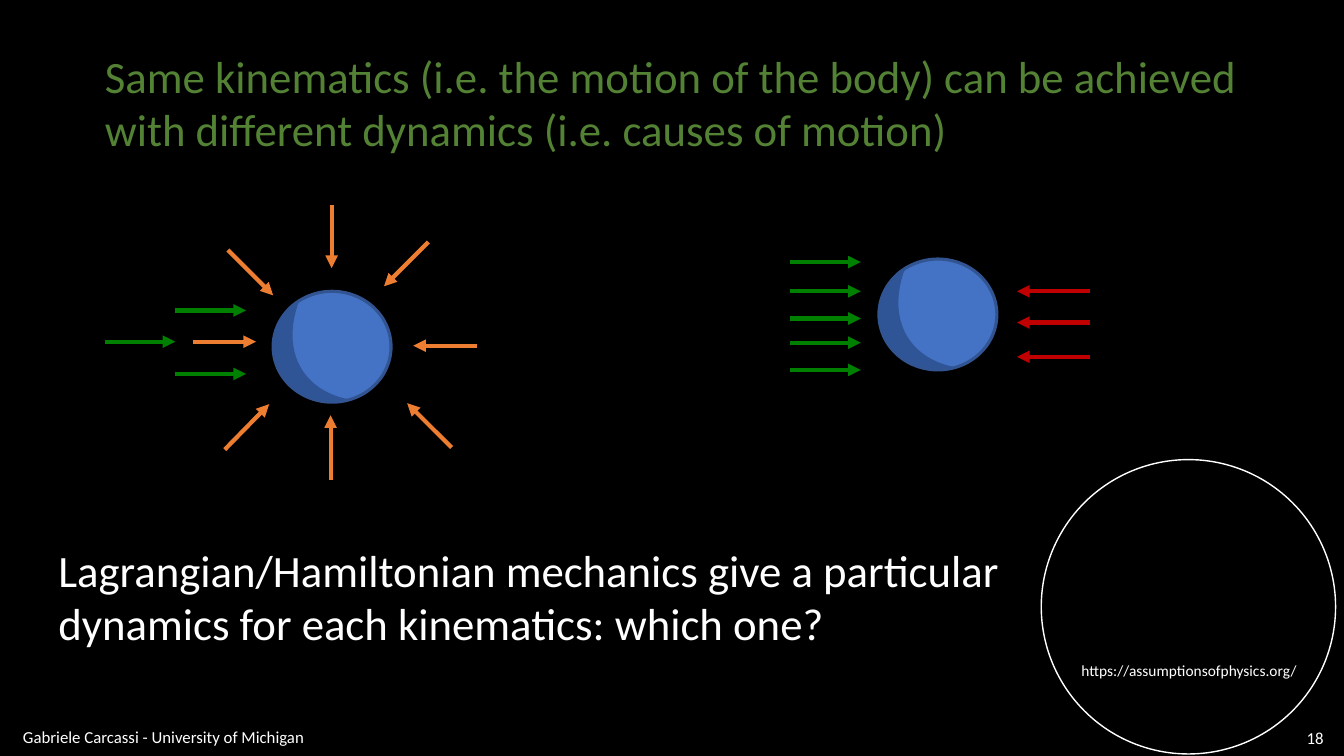
from dataclasses import dataclass

import lxml.etree
import pptx
import pptx.dml.color
import pptx.enum.shapes
import pptx.enum.text
import pptx.oxml.ns
import pptx.util

PX = 9144
Point = tuple[int, int]
RGB = pptx.dml.color.RGBColor
Anchor = pptx.enum.text.MSO_ANCHOR
Align = pptx.enum.text.PP_ALIGN
AutoSize = pptx.enum.text.MSO_AUTO_SIZE
OVAL = pptx.enum.shapes.MSO_SHAPE.OVAL
STRAIGHT = pptx.enum.shapes.MSO_CONNECTOR.STRAIGHT
qn = pptx.oxml.ns.qn


@dataclass(frozen=True)
class Theme:
    background: RGB = RGB(0x00, 0x00, 0x00)
    white: RGB = RGB(0xFF, 0xFF, 0xFF)
    title: RGB = RGB(0x54, 0x82, 0x35)
    orange: RGB = RGB(0xED, 0x7D, 0x31)
    green: RGB = RGB(0x00, 0x80, 0x00)
    red: RGB = RGB(0xC0, 0x00, 0x00)
    ball: RGB = RGB(0x44, 0x72, 0xC4)
    ball_line: RGB = RGB(0x32, 0x54, 0x91)
    shade: RGB = RGB(0x2F, 0x55, 0x97)
    font: str = "Calibri"
    large: int = 32
    small: int = 12
    link: int = 11


THEME = Theme()


@dataclass(frozen=True)
class Label:
    text: str
    left: int
    top: int
    width: int
    height: int
    size: int
    color: RGB = THEME.white
    align: Align = Align.LEFT
    anchor: Anchor = Anchor.TOP
    wrap: bool = True
    auto_size: AutoSize = AutoSize.SHAPE_TO_FIT_TEXT


@dataclass(frozen=True)
class Arrow:
    start: Point
    end: Point
    color: RGB


@dataclass(frozen=True)
class Body:
    left: int
    top: int
    arrows: list[Arrow]


def row_arrows(start: int, end: int, rows: list[int], color: RGB) -> list[Arrow]:
    return [Arrow((start, row), (end, row), color) for row in rows]


TITLE = Label(
    "Same kinematics (i.e. the motion of the body) can be achieved "
    "with different dynamics (i.e. causes of motion)",
    94, 43, 1146, 118, THEME.large, THEME.title)
FOOTERS = [
    Label("https://assumptionsofphysics.org/", 1063, 651, 235, 29, THEME.link, wrap=False),
    Label("Gabriele Carcassi - University of Michigan", 13, 718, 653, 26, THEME.small,
          anchor=Anchor.MIDDLE, auto_size=AutoSize.NONE),
    Label("18", 1262, 719, 61, 25, THEME.small,
          align=Align.RIGHT, anchor=Anchor.MIDDLE, auto_size=AutoSize.NONE),
]
QUESTION = Label(
    "Lagrangian/Hamiltonian mechanics give a particular "
    "dynamics for each kinematics: which one?",
    48, 533, 1065, 118, THEME.large)
PRESSURE = [
    ((328, 476), (328, 412)), ((223, 446), (267, 401)),
    ((191, 339), (254, 339)), ((329, 203), (329, 266)),
    ((473, 343), (410, 343)), ((226, 248), (271, 293)),
    ((425, 240), (381, 284)), ((448, 444), (404, 400)),
]
BODIES = [
    Body(271, 289,
         [Arrow(start, end, THEME.orange) for start, end in PRESSURE]
         + row_arrows(174, 244, [308], THEME.green)
         + row_arrows(104, 174, [339], THEME.green)
         + row_arrows(174, 244, [371], THEME.green)),
    Body(872, 257,
         row_arrows(784, 854, [260, 289, 316, 340, 367], THEME.green)
         + row_arrows(1081, 1009, [289, 320, 354], THEME.red)),
]
BALL_WIDTH, BALL_HEIGHT = 117, 110
CRESCENT_TOP, CRESCENT_WIDTH, CRESCENT_HEIGHT = 9, 74, 101
CRESCENT_START = (74, 98)
CRESCENT_CURVES = [
    ((47, 105), (19, 94), (7, 70)),
    ((-7, 46), (2, 15), (26, 0)),
    ((7, 51), (30, 89), CRESCENT_START),
]


def apply_format(target: object, values: dict[str, object]) -> None:
    for name, value in values.items():
        setattr(target, name, value)


def write_label(shape: pptx.shapes.autoshape.Shape, label: Label) -> None:
    apply_format(shape, {"left": label.left * PX, "top": label.top * PX,
                         "width": label.width * PX, "height": label.height * PX})
    frame = shape.text_frame
    frame.text = label.text
    apply_format(frame, {"word_wrap": label.wrap, "vertical_anchor": label.anchor,
                         "auto_size": label.auto_size})
    paragraph = frame.paragraphs[0]
    paragraph.alignment = label.align
    font = paragraph.runs[0].font
    apply_format(font, {"name": THEME.font, "size": pptx.util.Pt(label.size)})
    font.color.rgb = label.color


def add_label(slide: pptx.slide.Slide, label: Label) -> None:
    write_label(slide.shapes.add_textbox(0, 0, PX, PX), label)


def draw_arrow(shapes: pptx.shapes.shapetree.GroupShapes, arrow: Arrow) -> None:
    ends = [value * PX for value in arrow.start + arrow.end]
    connector = shapes.add_connector(STRAIGHT, *ends)
    connector.line.color.rgb = arrow.color
    connector.line.width = pptx.util.Pt(3)
    outline = connector.line._get_or_add_ln()
    lxml.etree.SubElement(outline, qn("a:tailEnd"), type="triangle")
    lxml.etree.SubElement(connector._element.spPr, qn("a:effectLst"))


def add_path_step(outline: lxml.etree.ElementBase, tag: str, points: list[Point]) -> None:
    step = lxml.etree.SubElement(outline, qn(tag))
    for x, y in points:
        lxml.etree.SubElement(step, qn("a:pt"), x=str(x), y=str(y))


def draw_crescent(shapes: pptx.shapes.shapetree.GroupShapes, left: int, top: int) -> None:
    right, bottom = left + CRESCENT_WIDTH, top + CRESCENT_HEIGHT
    builder = shapes.build_freeform(left, top, scale=PX)
    builder.add_line_segments([(right, top), (right, bottom)], close=True)
    crescent = builder.convert_to_shape()
    outline = next(crescent._element.iter(qn("a:path")))
    for step in list(outline):
        outline.remove(step)
    add_path_step(outline, "a:moveTo", [CRESCENT_START])
    for curve in CRESCENT_CURVES:
        add_path_step(outline, "a:cubicBezTo", curve)
    add_path_step(outline, "a:close", [])
    crescent.shadow.inherit = False
    crescent.fill.solid()
    crescent.fill.fore_color.rgb = THEME.shade
    crescent.line.fill.background()


def draw_body(slide: pptx.slide.Slide, body: Body) -> None:
    shapes = slide.shapes.add_group_shape().shapes
    for arrow in body.arrows:
        draw_arrow(shapes, arrow)
    ball = shapes.add_shape(OVAL, body.left * PX, body.top * PX,
                            BALL_WIDTH * PX, BALL_HEIGHT * PX)
    ball.shadow.inherit = False
    ball.fill.solid()
    ball.fill.fore_color.rgb = THEME.ball
    ball.line.color.rgb = THEME.ball_line
    ball.line.width = pptx.util.Pt(2.25)
    draw_crescent(shapes, body.left, body.top + CRESCENT_TOP)


def main() -> None:
    presentation = pptx.Presentation()
    apply_format(presentation, {"slide_width": pptx.util.Inches(40 / 3),
                                "slide_height": 750 * PX})
    slide = presentation.slides.add_slide(presentation.slide_layouts.get_by_name("Title Only"))
    slide.background.fill.solid()
    slide.background.fill.fore_color.rgb = THEME.background
    ring = slide.shapes.add_shape(OVAL, 1033 * PX, 456 * PX, 292 * PX, 292 * PX)
    ring.shadow.inherit = False
    ring.fill.background()
    ring.line.color.rgb = THEME.white
    ring.line.width = pptx.util.Pt(1)
    write_label(slide.shapes.title, TITLE)
    for footer in FOOTERS:
        add_label(slide, footer)
    for body in BODIES:
        draw_body(slide, body)
    add_label(slide, QUESTION)
    presentation.save("out.pptx")


if __name__ == "__main__":
    main()
